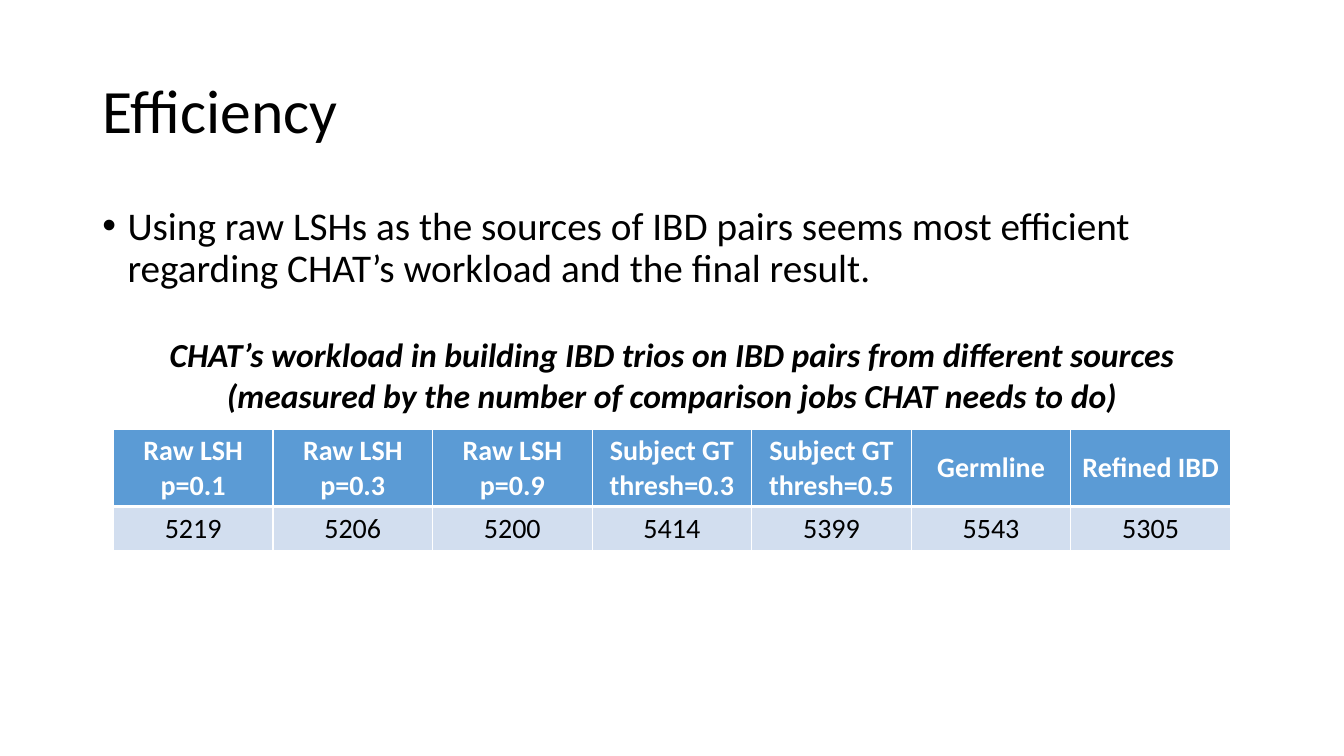
from dataclasses import dataclass

from lxml import etree
from pptx import Presentation, util as u
from pptx.dml.color import RGBColor
from pptx.enum import text
from pptx.oxml import ns


@dataclass(frozen=True)
class Theme:
    font: str = "Calibri"
    ink: str = "000000"
    paper: str = "FFFFFF"
    header: str = "5B9BD5"
    band: str = "D2DEEF"
    title_size: int = 44
    body_size: int = 28
    caption_size: int = 24
    table_size: int = 20
    thin: int = 1
    thick: int = 3


class SlideBuilder:
    """Places styled elements on a slide using a grid of 160 columns by 90 rows."""

    def __init__(self, presentation, theme):
        self.theme = theme
        self.column = presentation.slide_width / 160
        self.row = presentation.slide_height / 90
        self.slide = presentation.slides.add_slide(presentation.slide_layouts[5])

    def box(self, left, top, width, height):
        return (round(left * self.column), round(top * self.row),
                round(width * self.column), round(height * self.row))

    def add_words(self, paragraph, words, size, color=None, bold=False, italic=False):
        run = paragraph.add_run()
        run.text = words
        font = run.font
        font.name, font.size = self.theme.font, u.Pt(size)
        font.bold, font.italic = bold, italic
        font.color.rgb = RGBColor.from_string(color or self.theme.ink)

    def title(self, words, *area):
        shape = self.slide.shapes.title
        shape.left, shape.top, shape.width, shape.height = self.box(*area)
        shape.text_frame.vertical_anchor = text.MSO_ANCHOR.MIDDLE
        paragraph = shape.text_frame.paragraphs[0]
        paragraph.alignment = text.PP_ALIGN.LEFT
        paragraph.line_spacing = 0.9
        self.add_words(paragraph, words, self.theme.title_size)

    def text_box(self, *area):
        frame = self.slide.shapes.add_textbox(*self.box(*area)).text_frame
        frame.word_wrap = True
        return frame.paragraphs[0]

    def bullet(self, words, *area):
        paragraph = self.text_box(*area)
        paragraph.line_spacing = 0.9
        paragraph.space_before = u.Pt(10)
        properties = paragraph._p.get_or_add_pPr()
        indent = u.Inches(0.25)
        properties.set("marL", str(indent))
        properties.set("indent", str(-indent))
        etree.SubElement(properties, ns.qn("a:buFont"), typeface="Arial")
        etree.SubElement(properties, ns.qn("a:buChar"), char="•")
        self.add_words(paragraph, words, self.theme.body_size)

    def caption(self, words, *area):
        paragraph = self.text_box(*area)
        paragraph.alignment = text.PP_ALIGN.CENTER
        self.add_words(paragraph, words, self.theme.caption_size, bold=True, italic=True)

    def border(self, cell, side, points):
        properties = cell._tc.get_or_add_tcPr()
        line = etree.SubElement(properties, ns.qn(f"a:ln{side}"), w=str(u.Pt(points)))
        fill = etree.SubElement(line, ns.qn("a:solidFill"))
        etree.SubElement(fill, ns.qn("a:srgbClr"), val=self.theme.paper)

    def table(self, records, left, top, width, row_heights):
        theme = self.theme
        area = self.box(left, top, width, sum(row_heights))
        table = self.slide.shapes.add_table(len(records), len(records[0]), *area).table
        table.horz_banding = False
        for row, height in zip(table.rows, row_heights):
            row.height = round(height * self.row)
        for row_index, record in enumerate(records):
            is_header = row_index == 0
            for column_index, words in enumerate(record):
                cell = table.cell(row_index, column_index)
                for side in "LRTB":
                    divider = side == ("B" if is_header else "T")
                    self.border(cell, side, theme.thick if divider else theme.thin)
                cell.fill.solid()
                cell.fill.fore_color.rgb = RGBColor.from_string(
                    theme.header if is_header else theme.band)
                cell.vertical_anchor = text.MSO_ANCHOR.MIDDLE
                paragraph = cell.text_frame.paragraphs[0]
                paragraph.alignment = text.PP_ALIGN.CENTER
                self.add_words(paragraph, words, theme.table_size,
                               theme.paper if is_header else theme.ink, bold=is_header)


def main():
    presentation = Presentation()
    presentation.slide_width, presentation.slide_height = u.Inches(13.33), u.Inches(7.5)
    builder = SlideBuilder(presentation, Theme())
    builder.title("Efficiency", 11, 4.8, 138, 17.4)
    builder.bullet("Using raw LSHs as the sources of IBD pairs seems most efficient "
                   "regarding CHAT’s workload and the final result.", 11, 24, 138, 18.2)
    workload = {
        "Raw LSH p=0.1": "5219",
        "Raw LSH p=0.3": "5206",
        "Raw LSH p=0.9": "5200",
        "Subject GT thresh=0.3": "5414",
        "Subject GT thresh=0.5": "5399",
        "Germline": "5543",
        "Refined IBD": "5305",
    }
    builder.table([list(workload), list(workload.values())], 13.5, 51.1, 133, (9.2, 5.2))
    builder.caption("CHAT’s workload in building IBD trios on IBD pairs from different sources "
                    "(measured by the number of comparison jobs CHAT needs to do)",
                    13.5, 39.2, 133, 10.9)
    presentation.save("out.pptx")


if __name__ == "__main__":
    main()
